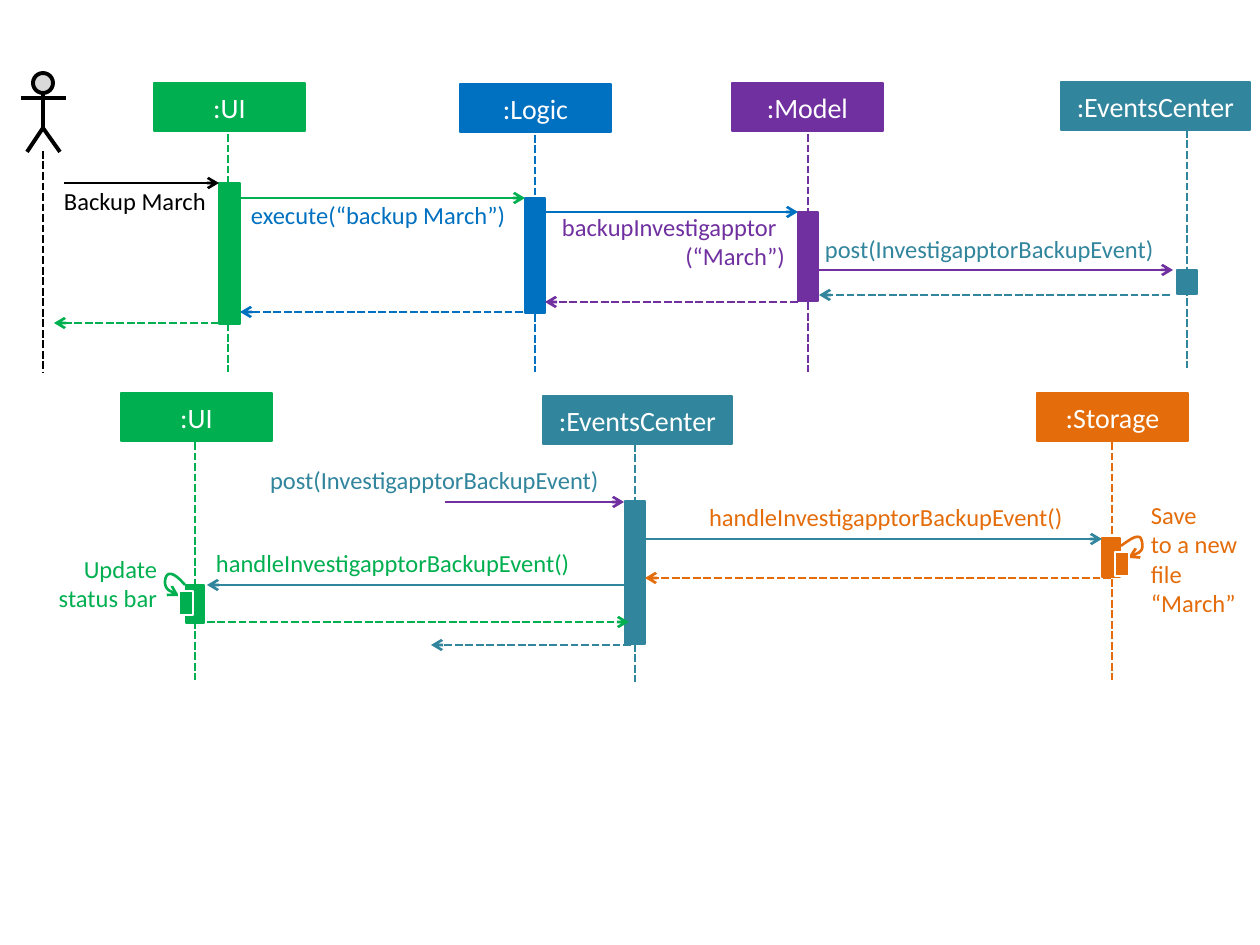
from pptx import Presentation
from pptx.dml.color import RGBColor
from pptx.enum.dml import MSO_LINE
from pptx.enum.shapes import MSO_CONNECTOR, MSO_SHAPE
from pptx.enum.text import MSO_ANCHOR, PP_ALIGN
from pptx.oxml.ns import qn
from pptx.util import Pt
from lxml import etree

PIXEL = 914400 / 126
GREEN = RGBColor(0x00, 0xB0, 0x50)
BLUE = RGBColor(0x00, 0x70, 0xC0)
PURPLE = RGBColor(0x70, 0x30, 0xA0)
TEAL = RGBColor(0x31, 0x85, 0x9C)
ORANGE = RGBColor(0xE4, 0x6C, 0x0A)
BLACK = RGBColor(0, 0, 0)
WHITE = RGBColor(255, 255, 255)
GRAY = RGBColor(0xD9, 0xD9, 0xD9)
LEFT, RIGHT = PP_ALIGN.LEFT, PP_ALIGN.RIGHT

deck = Presentation()
deck.slide_width = round(1260 * PIXEL)
deck.slide_height = round(945 * PIXEL)
page = deck.slides.add_slide(deck.slide_layouts[6])


def add_line(points, color, weight=1.5, dashed=False, arrow=False):
    ends = [(round(x * PIXEL), round(y * PIXEL)) for x, y in points]
    if len(ends) == 2:
        line = page.shapes.add_connector(MSO_CONNECTOR.STRAIGHT, *ends[0], *ends[1])
        etree.SubElement(line._element.spPr, qn("a:effectLst"))
    else:
        builder = page.shapes.build_freeform(*ends[0])
        builder.add_line_segments(ends[1:], close=False)
        line = builder.convert_to_shape()
        line.fill.background()
        line.shadow.inherit = False
    line.line.color.rgb = color
    line.line.width = Pt(weight)
    if dashed:
        line.line.dash_style = MSO_LINE.SQUARE_DOT
    if arrow:
        etree.SubElement(line.line._get_or_add_ln(), qn("a:tailEnd"), type="arrow")


def add_box(bounds, fill, outline, weight, kind=MSO_SHAPE.RECTANGLE):
    box = page.shapes.add_shape(kind, *[round(value * PIXEL) for value in bounds])
    box.shadow.inherit = False
    box.fill.solid()
    box.fill.fore_color.rgb = fill
    box.line.color.rgb = outline
    box.line.width = Pt(weight)
    return box


add_box((33, 73, 20, 20), GRAY, BLACK, 2.25, MSO_SHAPE.FLOWCHART_CONNECTOR)
for limb in [
    [(43, 93), (43, 128)],
    [(27, 152), (43, 128), (60, 152)],
    [(21, 98), (66, 98)],
]:
    add_line(limb, BLACK, 2.25)
add_line([(43, 151), (43, 372)], BLACK, dashed=True)

lifelines = [
    (":UI", GREEN, 154, 83, 151, 228, 134, 372),
    (":Logic", BLUE, 460, 84, 151, 535, 135, 372),
    (":Model", PURPLE, 732, 83, 151, 808, 134, 372),
    (":EventsCenter", TEAL, 1061, 82, 189, 1187, 130, 368),
    (":UI", GREEN, 121, 393, 151, 195, 442, 680),
    (":EventsCenter", TEAL, 543, 396, 189, 635, 444, 682),
    (":Storage", ORANGE, 1037, 393, 151, 1112, 442, 680),
]
for name, color, left, top, width, center, start, end in lifelines:
    header = add_box((left, top, width, 48), color, color, 1.5)
    frame = header.text_frame
    frame.margin_left = frame.margin_right = 0
    frame.vertical_anchor = MSO_ANCHOR.MIDDLE
    frame.text = name
    paragraph = frame.paragraphs[0]
    paragraph.alignment = PP_ALIGN.CENTER
    paragraph.font.name = "Calibri"
    paragraph.font.size = Pt(16)
    paragraph.font.color.rgb = WHITE
    add_line([(center, start), (center, end)], color, dashed=True)

activations = [
    (219, 183, 21, 141, GREEN),
    (525, 198, 20, 115, BLUE),
    (798, 212, 20, 89, PURPLE),
    (1177, 270, 20, 24, TEAL),
    (186, 585, 18, 38, GREEN),
    (625, 501, 20, 143, TEAL),
    (1102, 538, 18, 39, ORANGE),
]
for *bounds, color in activations:
    add_box(bounds, color, color, 0.75)

calls = [
    (64, 219, 183, BLACK),
    (240, 525, 198, GREEN),
    (545, 798, 212, BLUE),
    (819, 1173, 270, PURPLE),
    (445, 624, 502, PURPLE),
    (645, 1102, 539, TEAL),
    (629, 207, 585, TEAL),
]
replies = [
    (1170, 819, 295, TEAL),
    (798, 545, 302, PURPLE),
    (523, 240, 312, BLUE),
    (219, 54, 323, GREEN),
    (1111, 645, 578, ORANGE),
    (207, 629, 622, GREEN),
    (631, 431, 645, TEAL),
]
for messages, dashed in [(calls, False), (replies, True)]:
    for start, end, height, color in messages:
        add_line([(start, height), (end, height)], color, dashed=dashed, arrow=True)

self_calls = [
    (GREEN, (179, 591, 14, 24), [
        (185, 585), (179, 578), (173, 573), (169, 574), (165, 575), (164, 583),
        (166, 587), (168, 591), (174, 594), (179, 596),
    ]),
    (ORANGE, (1115, 552, 14, 24), [
        (1121, 546), (1129, 540), (1135, 536), (1139, 537), (1142, 537), (1143, 546),
        (1142, 549), (1140, 553), (1134, 556), (1128, 558),
    ]),
]
for color, bounds, controls in self_calls:
    curve = [controls[0]]
    for first in range(0, len(controls) - 1, 3):
        a, b, c, d = controls[first:first + 4]
        for step in range(1, 9):
            t = step / 8
            u = 1 - t
            weights = (u**3, 3 * u * u * t, 3 * u * t * t, t**3)
            curve.append(tuple(
                sum(w * p for w, p in zip(weights, axis)) for axis in zip(a, b, c, d)
            ))
    add_line(curve, color, arrow=True)
    add_box(bounds, color, WHITE, 0.75)

labels = [
    ("Backup March", 64, 186, 152, 30, BLACK, [LEFT]),
    ("execute(“backup March”)", 251, 200, 262, 30, BLUE, [LEFT]),
    ("backupInvestigapptor\n(“March”)", 562, 212, 223, 59, PURPLE, [LEFT, RIGHT]),
    ("post(InvestigapptorBackupEvent)", 825, 234, 350, 30, TEAL, [LEFT]),
    ("post(InvestigapptorBackupEvent)", 270, 465, 374, 30, TEAL, [LEFT]),
    ("handleInvestigapptorBackupEvent()", 709, 502, 372, 30, ORANGE, [LEFT]),
    ("handleInvestigapptorBackupEvent()", 216, 548, 402, 30, GREEN, [LEFT]),
    ("Update status bar", 48, 554, 109, 59, GREEN, [RIGHT]),
    ("Save \vto a new file\n“March”", 1151, 500, 100, 118, ORANGE, [LEFT, LEFT]),
]
for text, *bounds, color, alignments in labels:
    label = page.shapes.add_textbox(*[round(value * PIXEL) for value in bounds])
    frame = label.text_frame
    frame.word_wrap = True
    frame.margin_left = frame.margin_right = frame.margin_top = frame.margin_bottom = 0
    frame.text = text
    for paragraph, alignment in zip(frame.paragraphs, alignments):
        paragraph.alignment = alignment
        for span in paragraph.runs:
            span.font.name = "Calibri"
            span.font.size = Pt(14)
            span.font.color.rgb = color

deck.save("out.pptx")
